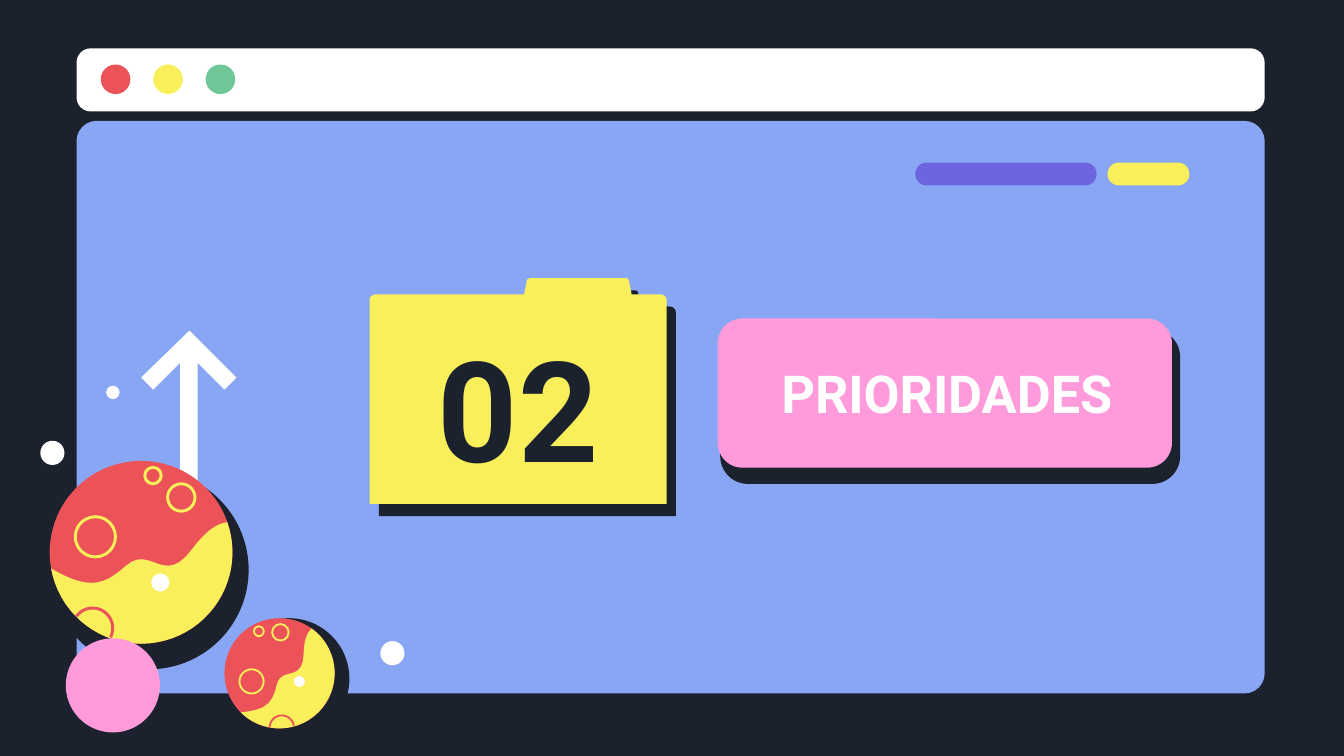
from math import atan2, cos, hypot, pi, radians, sin

from lxml.etree import SubElement
from pptx import Presentation
from pptx.dml.color import RGBColor
from pptx.enum.shapes import MSO_SHAPE
from pptx.enum.text import MSO_ANCHOR, PP_ALIGN
from pptx.oxml.ns import qn
from pptx.util import Inches, Pt

THEME = {
    "ink": "1B222D", "white": "FFFFFF", "blue": "88A6F3", "red": "EB5358",
    "yellow": "F8EF5B", "green": "6DC797", "purple": "6D65E0", "pink": "FF9BDA",
    "font": "Roboto", "number": 75, "heading": 28,
}

# Text, box (left, top, width, height), size, colour
TEXTS = [
    ("02", (3.01, 2.53, 1.69, 0.99), "number", "ink"),
    ("PRIORIDADES", (5.45, 2.46, 3.19, 0.92), "heading", "white"),
]

# Box, corner ratio, colour
PANELS = [
    ((0.57, 0.9, 8.84, 4.26), 0.035, "blue"),
    ((0.57, 0.36, 8.84, 0.47), 0.223, "white"),
    ((6.81, 1.21, 1.35, 0.17), 0.5, "purple"),
    ((8.24, 1.21, 0.61, 0.17), 0.5, "yellow"),
]
BADGE = (5.34, 2.37, 3.38, 1.11)
BADGE_SHADOW = (5.38, 2.47, 3.38, 1.11)
BADGE_CORNER = 0.167

WINDOW_BUTTONS = ["red", "yellow", "green"]
STARS = [(0.39, 3.37, 0.09), (2.92, 4.86, 0.09), (0.84, 2.92, 0.05)]
MOON = (0.84, 5.1, 0.35)

# Outlines: a pair is a corner, a triple of pairs is a Bezier curve
ARROW = [(1.34, 4.29), (1.34, 2.7), (1.14, 2.9), (1.05, 2.81), (1.41, 2.46),
         (1.76, 2.81), (1.67, 2.9), (1.47, 2.7), (1.47, 4.29)]
FOLDER = [
    (4.96, 2.23), (4.96, 3.75), (2.75, 3.75), (2.75, 2.23),
    ((2.75, 2.21), (2.77, 2.19), (2.8, 2.19)), (3.9, 2.19), (3.92, 2.09),
    ((3.92, 2.08), (3.93, 2.07), (3.95, 2.07)), (4.66, 2.07),
    ((4.67, 2.07), (4.68, 2.08), (4.68, 2.09)), (4.7, 2.19), (4.91, 2.19),
    ((4.94, 2.19), (4.96, 2.21), (4.96, 2.23)),
]

# Planet design in units of its radius, about its centre
COAST = [
    (-0.98, 0.18), ((-0.61, 0.39), (-0.43, 0.39), (-0.17, 0.15)),
    ((0.11, -0.1), (0.25, 0.4), (0.57, -0.05)),
    ((0.73, -0.26), (0.85, -0.32), (0.95, -0.33)),
]
CRATERS = [(0.13, -0.84, 0.09), (0.44, -0.6, 0.15), (-0.5, -0.17, 0.22)]
EDGE_CRATER = (-0.53, 0.83, 0.22)
PLANET_DOT = (0.21, 0.33, 0.1)

# Centre and radius of body and shadow, turn in degrees, crater line in points
BIG_PLANET = ((1.05, 4.11, 0.68), (1.11, 4.24, 0.74), 0, 1.6)
SMALL_PLANET = ((2.08, 5.01, 0.41), (2.15, 5.05, 0.45), -35, 1)


def colour(name):
    return RGBColor.from_string(THEME[name])


def paint(shape, fill=None, line=None, width=1):
    shape.shadow.inherit = False
    if fill:
        shape.fill.solid()
        shape.fill.fore_color.rgb = colour(fill)
    else:
        shape.fill.background()
    if line:
        shape.line.color.rgb = colour(line)
        shape.line.width = Pt(width)
    else:
        shape.line.fill.background()
    return shape


def add_panel(page, box, corner, fill, **outline):
    shape = page.shapes.add_shape(MSO_SHAPE.ROUNDED_RECTANGLE, *map(Inches, box))
    shape.adjustments[0] = corner
    paint(shape, fill, **outline)


def add_circle(page, circle, fill=None, **outline):
    x, y, radius = circle
    box = (x - radius, y - radius, 2 * radius, 2 * radius)
    paint(page.shapes.add_shape(MSO_SHAPE.OVAL, *map(Inches, box)), fill, **outline)


def flatten(outline, steps=12):
    """Turn corners and Bezier curves into a plain list of points."""
    points = []
    for part in outline:
        if len(part) == 2:
            points.append(part)
            continue
        curve = (points[-1], *part)
        for step in range(1, steps + 1):
            t = step / steps
            weights = ((1 - t) ** 3, 3 * t * (1 - t) ** 2, 3 * t * t * (1 - t), t ** 3)
            points.append(tuple(sum(w * point[axis] for w, point in zip(weights, curve))
                                for axis in (0, 1)))
    return points


def arc(circle, start, end, steps=40):
    x, y, radius = circle
    angles = [start + (end - start) * step / steps for step in range(steps + 1)]
    return [(x + radius * cos(a), y + radius * sin(a)) for a in angles]


def add_outline(page, points, fill=None, closed=True, **outline):
    corners = [(Inches(x), Inches(y)) for x, y in points]
    builder = page.shapes.build_freeform(*corners[0])
    builder.add_line_segments(corners[1:], close=closed)
    return paint(builder.convert_to_shape(), fill, **outline)


def add_hard_shadow(shape, name, distance, degrees):
    effects = shape._element.spPr.find(qn("a:effectLst"))
    shadow = SubElement(effects, qn("a:outerShdw"), dist=str(Pt(distance)),
                        dir=str(degrees * 60000), algn="bl", rotWithShape="0")
    SubElement(shadow, qn("a:srgbClr"), val=THEME[name])


def add_planet(page, body, shadow, turn, line_width):
    centre_x, centre_y, radius = body
    c, s = cos(radians(turn)), sin(radians(turn))

    def place(point):
        x, y = point
        return centre_x + radius * (x * c - y * s), centre_y + radius * (x * s + y * c)

    def place_circle(circle):
        return (*place(circle[:2]), radius * circle[2])

    add_circle(page, shadow, "ink")
    add_circle(page, body, "red")
    for crater in CRATERS:
        add_circle(page, place_circle(crater), line="yellow", width=line_width)

    coast = flatten(COAST)
    (west_x, west_y), (east_x, east_y) = coast[0], coast[-1]
    rim = arc((0, 0, 1), atan2(east_y, east_x), atan2(west_y, west_x))
    add_outline(page, [place(point) for point in coast + rim], "yellow")

    inside = [point for point in arc(EDGE_CRATER, -1.5 * pi, 0.5 * pi)
              if hypot(*point) <= 1]
    add_outline(page, [place(point) for point in inside], closed=False,
                line="red", width=line_width)
    add_circle(page, place_circle(PLANET_DOT), "white")


def add_text(page, text, box, size, fill):
    frame = page.shapes.add_textbox(*map(Inches, box)).text_frame
    frame.word_wrap = True
    frame.vertical_anchor = MSO_ANCHOR.MIDDLE
    frame.margin_left = frame.margin_right = Inches(0.1)
    frame.margin_top = frame.margin_bottom = Inches(0.1)
    para = frame.paragraphs[0]
    para.text = text
    para.alignment = PP_ALIGN.CENTER
    para.font.name = THEME["font"]
    para.font.size = Pt(THEME[size])
    para.font.bold = True
    para.font.color.rgb = colour(fill)


def main():
    deck = Presentation()
    deck.slide_width = Inches(10)
    deck.slide_height = deck.slide_width * 9 // 16
    page = deck.slides.add_slide(deck.slide_layouts[6])
    page.background.fill.solid()
    page.background.fill.fore_color.rgb = colour("ink")

    for panel in PANELS:
        add_panel(page, *panel)
    for index, fill in enumerate(WINDOW_BUTTONS):
        add_circle(page, (0.86 + 0.39 * index, 0.59, 0.11), fill)
    add_outline(page, ARROW, "white")
    add_panel(page, BADGE_SHADOW, BADGE_CORNER, "ink", line="ink", width=3)
    add_panel(page, BADGE, BADGE_CORNER, "pink")
    add_hard_shadow(add_outline(page, flatten(FOLDER), "yellow"), "ink", 8.2, 53)
    for text in TEXTS:
        add_text(page, *text)
    add_planet(page, *BIG_PLANET)
    add_circle(page, MOON, "pink")
    add_planet(page, *SMALL_PLANET)
    for star in STARS:
        add_circle(page, star, "white")
    deck.save("out.pptx")


if __name__ == "__main__":
    main()
